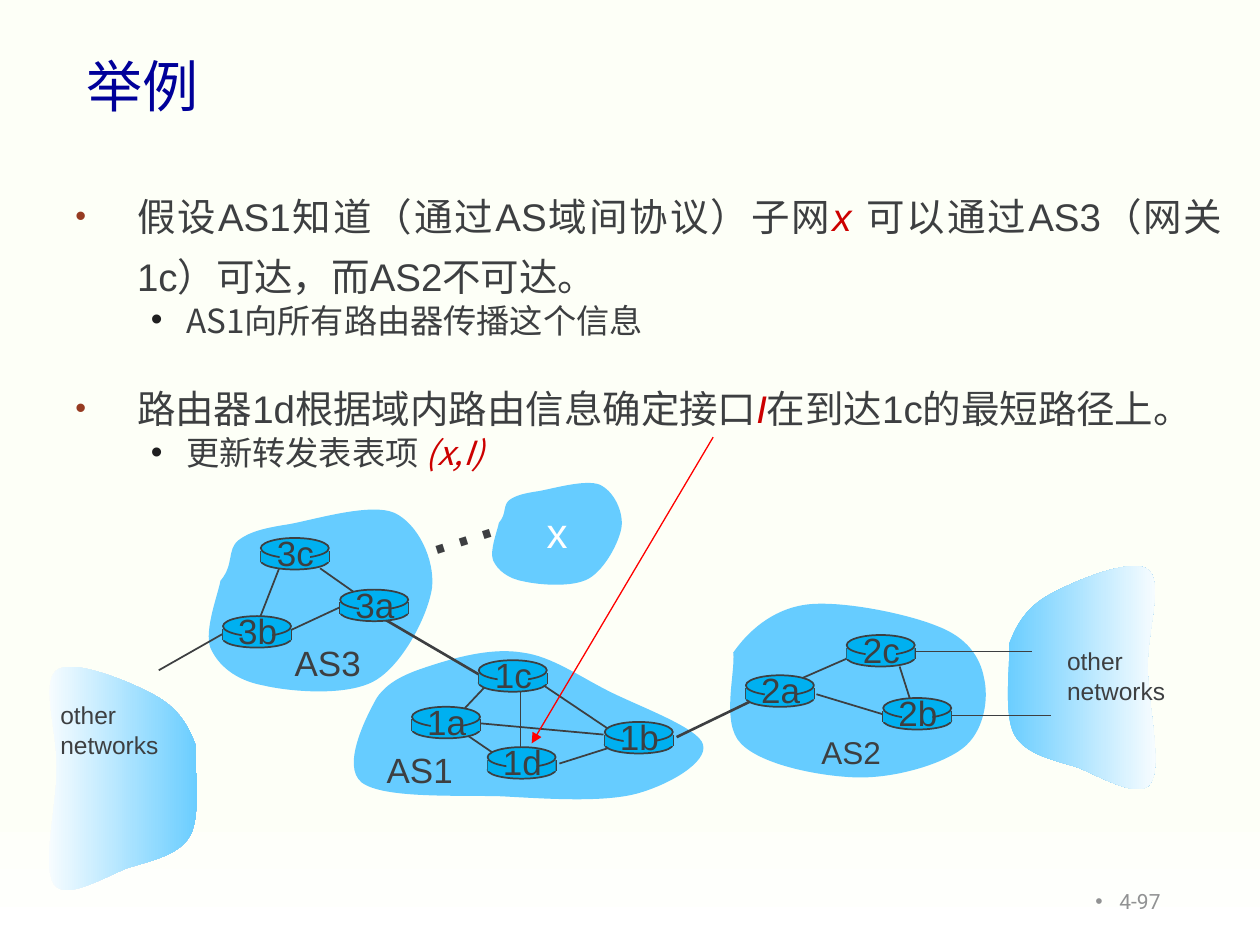
import dataclasses

import pptx
import pptx.dml.color
import pptx.enum.shapes
import pptx.enum.text
import pptx.oxml
import pptx.oxml.ns
import pptx.util
from pptx.util import Cm


@dataclasses.dataclass(frozen=True)
class Theme:
    ink: str = "3D3F41"
    title: str = "000099"
    accent: str = "CC0000"
    arrow: str = "FF0000"
    cloud: str = "66CCFF"
    router: str = "00B0F0"
    white: str = "FFFFFF"
    paper: str = "FDFFF7"
    bullet: str = "963B22"
    sub_bullet: str = "1F1F20"
    muted: str = "919293"
    title_size: int = 32
    body_size: int = 22
    sub_size: int = 19
    label_size: int = 20
    small_size: int = 14


theme = Theme()
color_of = pptx.dml.color.RGBColor.from_string
anchors = pptx.enum.text.MSO_ANCHOR
aligns = pptx.enum.text.PP_ALIGN
kinds = pptx.enum.shapes.MSO_SHAPE
UNIT = 2.54  # centimetres per step of the drawing grid


def write(home, at, text, *, box=None, size=theme.label_size, color=theme.ink, font="Arial",
          align=None, anchor=None, wrap=False, bullet=None, bullet_size=None,
          indent=(0, 0), spacing=None, before=None):
    """Write lines of text in a new or given box; parts between asterisks are emphasised."""
    fresh = box is None
    if fresh:
        box = home.add_textbox(*[Cm(UNIT * value) for value in at])
        box.text_frame.word_wrap = wrap
        box.text_frame.vertical_anchor = anchor
        auto = pptx.enum.text.MSO_AUTO_SIZE
        box.text_frame.auto_size = auto.NONE if wrap else auto.SHAPE_TO_FIT_TEXT
    for line in text.split("\n"):
        para = box.text_frame.paragraphs[0] if fresh else box.text_frame.add_paragraph()
        fresh = False
        if bullet:
            props = para._p.get_or_add_pPr()
            props.set("marL", str(Cm(UNIT * indent[0])))
            props.set("indent", str(Cm(UNIT * indent[1])))
            marks = [f'<a:buClr %s><a:srgbClr val="{bullet}"/></a:buClr>']
            if bullet_size:
                marks.append(f'<a:buSzPct %s val="{bullet_size * 1000}"/>')
            marks += ['<a:buFont %s typeface="Arial"/>', '<a:buChar %s char="•"/>']
            for mark in marks:
                props.append(pptx.oxml.parse_xml(mark % pptx.oxml.ns.nsdecls("a")))
        para.alignment = align
        para.line_spacing = spacing
        para.space_before = before
        for index, part in enumerate(line.split("*")):
            if part:
                span = para.add_run()
                span.text = part
                span.font.size = pptx.util.Pt(size)
                span.font.name = font
                span.font.italic = bool(index % 2)
                span.font.color.rgb = color_of(theme.accent if index % 2 else color)
    return box


def connect(home, start_x, start_y, end_x, end_y, width=1, color=theme.ink):
    ends = [Cm(UNIT * value) for value in (start_x, start_y, end_x, end_y)]
    link = home.add_connector(pptx.enum.shapes.MSO_CONNECTOR.STRAIGHT, *ends)
    link.line.width = pptx.util.Pt(width)
    link.line.color.rgb = color_of(color)
    link._element.spPr.append(pptx.oxml.parse_xml(f'<a:effectLst {pptx.oxml.ns.nsdecls("a")}/>'))
    return link


deck = pptx.Presentation()
deck.slide_width, deck.slide_height = Cm(25.4), Cm(19.05)
page = deck.slides.add_slide(deck.slide_layouts[6])
shapes = page.shapes

# Backdrop, fading to white at the foot
backdrop = shapes.add_shape(kinds.RECTANGLE, 0, 0, deck.slide_width, deck.slide_height)
backdrop.shadow.inherit = False
backdrop.line.fill.background()
backdrop.fill.gradient()
backdrop.fill.gradient_angle = 270
for stop, place, tone in zip(backdrop.fill.gradient_stops, (0.84, 1), (theme.paper, theme.white)):
    stop.position, stop.color.rgb = place, color_of(tone)

# Page number, title and body
write(shapes, (7.06, 6.95, 2.25, 0.4), "4-97", size=12, color=theme.muted, font="Roboto",
      align=aligns.RIGHT, anchor=anchors.MIDDLE, wrap=True, bullet=theme.muted,
      indent=(0.19, -0.19))
write(shapes, (0.59, 0.05, 8.98, 1.25), "举例", size=theme.title_size, color=theme.title,
      font="Lato", anchor=anchors.MIDDLE, wrap=True)
body = None
for point, detail in [
    ("假设AS1知道（通过AS域间协议）子网*x *可以通过AS3（网关1c）可达，而AS2不可达。",
     "AS1向所有路由器传播这个信息"),
    ("路由器1d根据域内路由信息确定接口*I*在到达1c的最短路径上。", "更新转发表表项 *(x,I)*"),
]:
    body = write(shapes, (0.5, 1.37, 9.3, 3.66), point, box=body, size=theme.body_size,
                 align=aligns.JUSTIFY, wrap=True, bullet=theme.bullet, bullet_size=80,
                 indent=(0.49, -0.49), spacing=1.3, before=pptx.util.Pt(18) if body else None)
    write(shapes, None, detail, box=body, size=theme.sub_size, font="Noto Sans CJK SC",
          align=aligns.JUSTIFY, bullet=theme.sub_bullet, indent=(0.88, -0.28),
          spacing=0.8, before=pptx.util.Pt(5))

# Clouds: a start point, then cubic curves (two handles and an end point each)
other = [(8.01, 5.11), (8.07, 4.95), (8.15, 4.82), (8.33, 4.72), (8.51, 4.62), (8.98, 4.42),
         (9.11, 4.52), (9.24, 4.62), (9.1, 5.02), (9.11, 5.31), (9.11, 5.59), (9.23, 6.08),
         (9.13, 6.22), (9.04, 6.35), (8.73, 6.16), (8.55, 6.09), (8.36, 6.03), (8.14, 5.99),
         (8.05, 5.83), (7.96, 5.66), (8.02, 5.26), (8.01, 5.11)]
mirrored = [(9.56 - x, y + 0.8) for x, y in other]
as2 = [(5.82, 5.18), (5.93, 5.02), (6.12, 4.84), (6.39, 4.8), (6.66, 4.76), (7.2, 4.87),
       (7.44, 4.97), (7.68, 5.06), (7.78, 5.22), (7.81, 5.38), (7.85, 5.55), (7.81, 5.81),
       (7.64, 5.94), (7.47, 6.07), (7.09, 6.18), (6.79, 6.17), (6.5, 6.16), (6.04, 6.07),
       (5.88, 5.9), (5.72, 5.74), (5.84, 5.33), (5.82, 5.18)]
as3 = [(1.75, 4.61), (1.86, 4.48), (1.8, 4.37), (1.89, 4.29), (1.98, 4.22), (2.1, 4.19),
       (2.3, 4.16), (2.51, 4.12), (2.94, 3.99), (3.13, 4.07), (3.32, 4.16), (3.45, 4.44),
       (3.43, 4.66), (3.4, 4.88), (3.2, 5.27), (2.98, 5.4), (2.76, 5.53), (2.3, 5.49),
       (2.09, 5.44), (1.87, 5.4), (1.73, 5.28), (1.67, 5.14), (1.62, 5), (1.73, 4.72),
       (1.75, 4.61)]
as1 = [(2.99, 5.54), (3.09, 5.39), (3.27, 5.33), (3.46, 5.27), (3.65, 5.21), (3.92, 5.14),
       (4.15, 5.18), (4.38, 5.21), (4.6, 5.37), (4.84, 5.49), (5.08, 5.61), (5.55, 5.78),
       (5.58, 5.91), (5.62, 6.05), (5.31, 6.23), (5.05, 6.3), (4.78, 6.37), (4.34, 6.34),
       (3.98, 6.32), (3.62, 6.31), (3.04, 6.34), (2.87, 6.21), (2.71, 6.08), (2.9, 5.7),
       (2.99, 5.54)]
# The subnet cloud is the AS3 outline, made smaller
subnet = [(3.96 + 0.58 * (x - 1.75), 4.15 + 0.56 * (y - 4.61)) for x, y in as3]
for outline, tones in [(other, (theme.cloud, theme.white)), (as2, None), (as3, None),
                       (as1, None), (mirrored, (theme.white, theme.cloud)), (subnet, None)]:
    dots = [(Cm(UNIT * x), Cm(UNIT * y)) for x, y in outline]
    builder = shapes.build_freeform(*dots[0])
    builder.add_line_segments(dots[1:], close=True)
    cloud = builder.convert_to_shape()
    # Join every three straight segments into one cubic curve
    segments = list(cloud._element.iter(pptx.oxml.ns.qn("a:lnTo")))
    for first in range(0, len(segments), 3):
        curve = pptx.oxml.parse_xml(f'<a:cubicBezTo {pptx.oxml.ns.nsdecls("a")}/>')
        segments[first].addprevious(curve)
        for segment in segments[first:first + 3]:
            curve.append(segment[0])
            segment.getparent().remove(segment)
    cloud.shadow.inherit = False
    cloud.line.fill.background()
    if tones:
        cloud.fill.gradient()
        cloud.fill.gradient_angle = 0
        for stop, place, tone in zip(cloud.fill.gradient_stops, (0, 1), tones):
            stop.position, stop.color.rgb = place, color_of(tone)
    else:
        cloud.fill.solid()
        cloud.fill.fore_color.rgb = color_of(theme.cloud)

# Links between routers, with the line width where it is not 1 pt
for link in [
    (2.31, 5, 2.74, 4.8), (2.81, 4.7, 2.54, 4.51), (2.22, 4.5, 2.06, 4.91),
    (1.77, 5.03, 1.26, 5.32), (3.06, 4.92, 3.83, 5.37, 1.5),
    (3.85, 5.45, 3.69, 5.62), (4.13, 5.48, 4.13, 5.98), (4.3, 5.43, 4.85, 5.8),
    (4.85, 5.93, 4.44, 6.06), (4.79, 5.83, 3.8, 5.74), (3.7, 5.83, 3.92, 5.98),
    (5.37, 5.85, 5.95, 5.57, 1.5), (6.28, 5.42, 6.76, 5.21), (6.48, 5.51, 7.01, 5.67),
    (7.14, 5.29, 7.22, 5.54), (7.26, 5.17, 8.19, 5.17, 0.75), (7.53, 5.68, 8.34, 5.68, 0.75),
]:
    connect(shapes, *link)

# Routers: a disc with its name in front
for name, x, y in [("3b", 1.77, 4.89), ("3c", 2.07, 4.27), ("3a", 2.7, 4.68),
                   ("1c", 3.8, 5.24), ("1a", 3.27, 5.61), ("1d", 3.87, 5.93),
                   ("1b", 4.8, 5.73), ("2a", 5.92, 5.36), ("2c", 6.72, 5.04),
                   ("2b", 7.01, 5.54)]:
    router = shapes.add_group_shape().shapes
    for side in (x, x + 0.54):
        connect(router, side, y + 0.1, side, y + 0.19)
    for kind, left, top, width, height in [
        (kinds.OVAL, 0, 0.11, 0.54, 0.14), (kinds.RECTANGLE, 0, 0.1, 0.54, 0.09),
        (kinds.OVAL, 0, 0, 0.54, 0.16), (kinds.RECTANGLE, 0.15, 0.02, 0.24, 0.21),
    ]:
        part = router.add_shape(kind, *[Cm(UNIT * value) for value in
                                        (x + left, y + top, width, height)])
        part.shadow.inherit = False
        part.fill.solid()
        part.fill.fore_color.rgb = color_of(theme.router)
        if kind == kinds.OVAL:
            part.line.color.rgb = color_of(theme.ink)
            part.line.width = pptx.util.Pt(1)
        else:
            part.line.fill.background()
    write(router, (x + 0.02, y - 0.1, 0.51, 0.43), name, align=aligns.CENTER)

# Cloud names
for name, left, top, width, height, size, color in [
    ("AS3", 2.24, 5.04, 0.73, 0.43, theme.label_size, theme.ink),
    ("AS1", 2.97, 5.89, 0.73, 0.43, theme.label_size, theme.ink),
    ("AS2", 6.42, 5.77, 0.67, 0.4, 18, theme.ink),
    ("x", 4.24, 3.97, 0.37, 0.5, 24, theme.white),
    ("other\nnetworks", 8.37, 5.08, 0.98, 0.57, theme.small_size, theme.ink),
    ("other\nnetworks", 0.38, 5.51, 0.98, 0.57, theme.small_size, theme.ink),
]:
    write(shapes, (left, top, width, height), name, size=size, color=color)
ellipsis = write(shapes, (3.21, 3.68, 0.81, 0.83), "…", size=44)
ellipsis.rotation = 342.3

# Arrow from interface I to router 1d
arrow = connect(shapes, 5.66, 3.47, 4.22, 5.9, 0.75, theme.arrow)
arrow.line._get_or_add_ln().append(
    pptx.oxml.parse_xml(f'<a:tailEnd {pptx.oxml.ns.nsdecls("a")} type="triangle"/>'))

deck.save("out.pptx")
